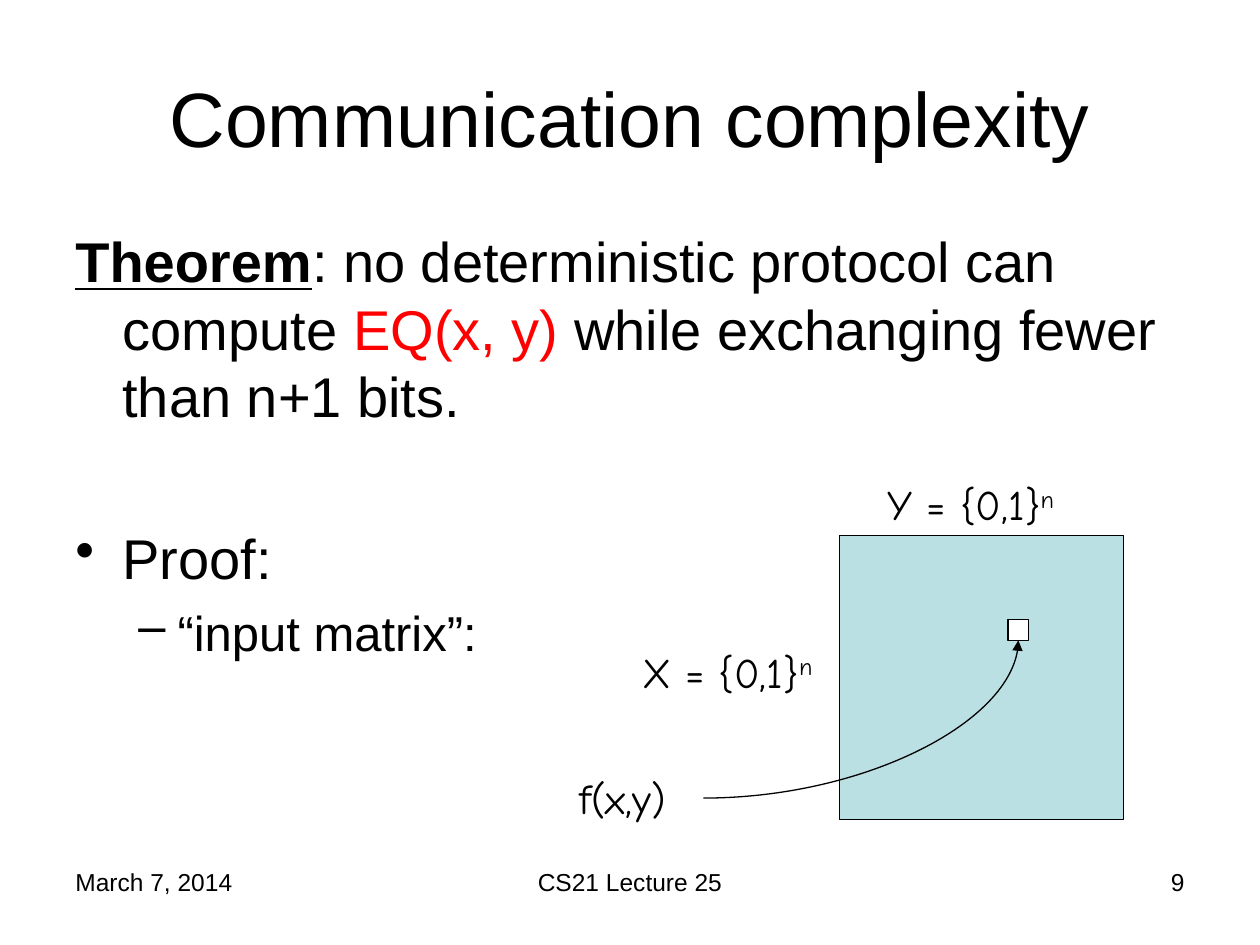
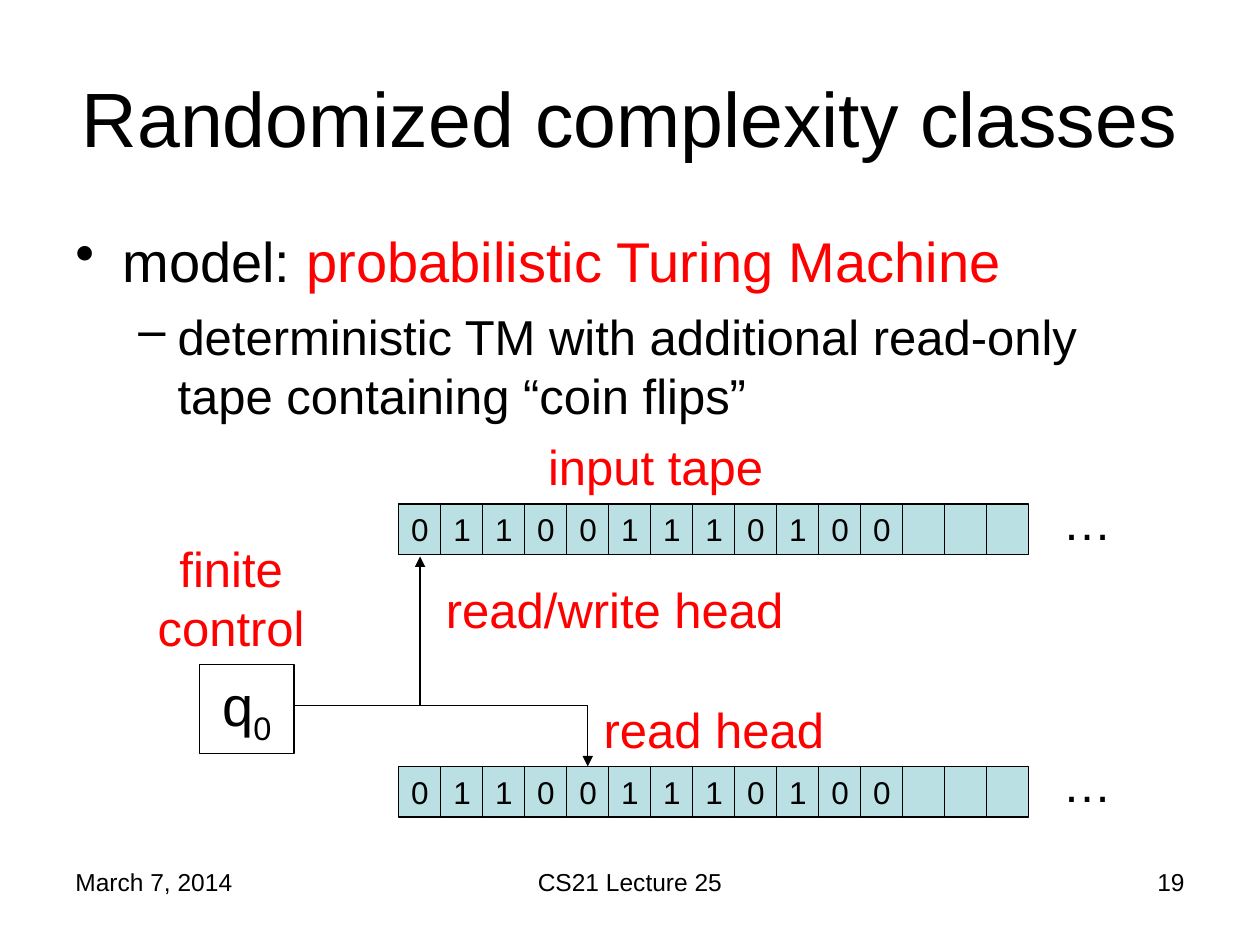
from dataclasses import dataclass
from typing import Any

from pptx import Presentation
from pptx.dml.color import RGBColor
from pptx.enum.shapes import MSO_AUTO_SHAPE_TYPE as ShapeType, MSO_CONNECTOR as ConnectorType
from pptx.enum.text import MSO_ANCHOR as Anchor, MSO_AUTO_SIZE as AutoSize, PP_ALIGN as Align
from pptx.oxml.ns import qn
from pptx.oxml.xmlchemy import OxmlElement
from pptx.util import Cm, Pt


@dataclass(frozen=True)
class Theme:
    black: RGBColor = RGBColor(0, 0, 0)
    red: RGBColor = RGBColor(0xFF, 0, 0)
    white: RGBColor = RGBColor(0xFF, 0xFF, 0xFF)
    teal: RGBColor = RGBColor(0xBB, 0xE0, 0xE3)
    font: str = "Arial"
    hand_font: str = "Comic Neue"
    title: int = 44
    body: int = 32
    label: int = 28
    formula: int = 24
    cell: int = 18
    footer: int = 14
    line: float = 0.75


THEME = Theme()


@dataclass(frozen=True)
class Box:
    left: float
    top: float
    width: float
    height: float

    def lengths(self) -> tuple[Cm, ...]:
        return tuple(Cm(n) for n in (self.left, self.top, self.width, self.height))


@dataclass(frozen=True)
class Run:
    text: str
    color: RGBColor = THEME.black
    bold: bool = False
    underline: bool = False
    baseline: int = 0


@dataclass(frozen=True)
class Style:
    size: int
    font: str = THEME.font
    align: Align = Align.LEFT
    level: int = 0
    margin: float = 0
    indent: float = 0
    bullet: str = ""


@dataclass(frozen=True)
class Item:
    style: Style
    runs: tuple[Run, ...]
    space_before: float = 0


@dataclass(frozen=True)
class Label:
    box: Box
    style: Style
    runs: tuple[Run, ...]
    wrap: bool = True


@dataclass(frozen=True)
class Arrow:
    kind: ConnectorType
    preset: str
    start: tuple[float, float]
    end: tuple[float, float]


TITLE = Style(THEME.title, align=Align.CENTER)
PLAIN = Style(THEME.body, margin=0.95, indent=-0.95)
BULLET = Style(THEME.body, margin=0.95, indent=-0.95, bullet="•")
DASH = Style(THEME.label, level=1, margin=2.06, indent=-0.79, bullet="–")
FORMULA = Style(THEME.formula, THEME.hand_font)
LABEL = Style(THEME.label)
CENTERED = Style(THEME.label, align=Align.CENTER)
CELL = Style(THEME.cell, align=Align.CENTER)
STATE = Style(THEME.body, align=Align.CENTER)

TITLE_BOX = Box(1.27, 0.76, 22.86, 3.18)
BODY_BOX = Box(1.27, 4.45, 22.86, 12.57)
FOOTER_TOP, FOOTER_HEIGHT = 17.35, 1.32

TAPE_LEFT, TAPE_WIDTH, CELL_HEIGHT = 8.04, 12.7, 1.02
TAPE_SYMBOLS = tuple("011001110100") + ("",) * 3
TAPE_TOPS = (10.16, 15.45)


def set_values(target: Any, values: dict[str, Any]) -> None:
    for name, value in values.items():
        setattr(target, name, value)


def write_items(frame: Any, items: tuple[Item, ...]) -> None:
    for number, item in enumerate(items):
        paragraph = frame.add_paragraph() if number else frame.paragraphs[0]
        style = item.style
        properties = paragraph._p.get_or_add_pPr()
        properties.set("marL", str(Cm(style.margin)))
        properties.set("indent", str(Cm(style.indent)))
        bullet = OxmlElement("a:buChar" if style.bullet else "a:buNone")
        if style.bullet:
            bullet.set("char", style.bullet)
        properties.append(bullet)
        set_values(paragraph, {
            "alignment": style.align,
            "level": style.level,
            "space_before": Pt(item.space_before),
        })
        for part in item.runs:
            run = paragraph.add_run()
            run.text = part.text
            set_values(run.font, {
                "name": style.font,
                "size": Pt(style.size),
                "bold": part.bold,
                "underline": part.underline,
            })
            run.font.color.rgb = part.color
            if part.baseline:
                run._r.get_or_add_rPr().set("baseline", str(part.baseline * 1000))


def add_text(slide: Any, box: Box, items: tuple[Item, ...],
             anchor: Anchor = Anchor.TOP, wrap: bool = True) -> None:
    frame = slide.shapes.add_textbox(*box.lengths()).text_frame
    set_values(frame, {"word_wrap": wrap, "vertical_anchor": anchor})
    write_items(frame, items)


def add_label(slide: Any, label: Label) -> None:
    add_text(slide, label.box, (Item(label.style, label.runs),), wrap=label.wrap)


def add_rectangle(slide: Any, box: Box, fill: RGBColor | None,
                  item: Item | None = None) -> None:
    shape = slide.shapes.add_shape(ShapeType.RECTANGLE, *box.lengths())
    shape.shadow.inherit = False
    if fill is None:
        shape.fill.background()
    else:
        shape.fill.solid()
        shape.fill.fore_color.rgb = fill
    shape.line.color.rgb = THEME.black
    shape.line.width = Pt(THEME.line)
    if item:
        set_values(shape.text_frame, {
            "word_wrap": True,
            "vertical_anchor": Anchor.TOP,
            "auto_size": AutoSize.SHAPE_TO_FIT_TEXT,
        })
        write_items(shape.text_frame, (item,))


def add_arrow(slide: Any, arrow: Arrow) -> None:
    ends = (Cm(n) for n in arrow.start + arrow.end)
    connector = slide.shapes.add_connector(arrow.kind, *ends)
    connector.line.color.rgb = THEME.black
    connector.line.width = Pt(THEME.line)
    properties = connector._element.spPr
    properties.find(qn("a:prstGeom")).set("prst", arrow.preset)
    head = OxmlElement("a:tailEnd")
    head.set("type", "triangle")
    properties.find(qn("a:ln")).append(head)
    properties.append(OxmlElement("a:effectLst"))


def add_tape(slide: Any, top: float) -> None:
    width = TAPE_WIDTH / len(TAPE_SYMBOLS)
    for column, symbol in enumerate(TAPE_SYMBOLS):
        box = Box(TAPE_LEFT + column * width, top, width, CELL_HEIGHT)
        item = Item(CELL, (Run(symbol),)) if symbol else None
        add_rectangle(slide, box, THEME.teal, item)
    add_label(slide, Label(Box(21.17, top - 0.38, 1.9, 1.45), LABEL, (Run("…"),)))


def add_base_slide(presentation: Any, title: str, number: int,
                   body: tuple[Item, ...]) -> Any:
    slide = presentation.slides.add_slide(presentation.slide_layouts[6])
    footers = (
        (1.27, 5.93, Align.LEFT, "March 7, 2014"),
        (8.68, 8.04, Align.CENTER, "CS21 Lecture 25"),
        (18.2, 5.93, Align.RIGHT, str(number)),
    )
    for left, width, align, text in footers:
        style = Style(THEME.footer, align=align)
        add_label(slide, Label(Box(left, FOOTER_TOP, width, FOOTER_HEIGHT), style, (Run(text),)))
    add_text(slide, TITLE_BOX, (Item(TITLE, (Run(title),)),), Anchor.MIDDLE)
    add_text(slide, BODY_BOX, body)
    return slide


def build_communication(presentation: Any) -> None:
    slide = add_base_slide(presentation, "Communication complexity", 9, (
        Item(PLAIN, (
            Run("Theorem", bold=True, underline=True),
            Run(": no deterministic protocol can compute "),
            Run("EQ(x, y) ", THEME.red),
            Run("while exchanging fewer than n+1 bits."),
        )),
        Item(BULLET, (Run("Proof:"),), 54),
        Item(DASH, (Run("“input matrix”:"),), 7),
    ))
    exponent = Run("n", baseline=30)
    add_rectangle(slide, Box(16.93, 10.8, 5.72, 5.72), THEME.teal)
    add_rectangle(slide, Box(20.32, 12.49, 0.42, 0.42), THEME.white)
    for label in (
        Label(Box(12.7, 12.91, 5.29, 1.27), FORMULA, (Run("X = {0,1}"), exponent)),
        Label(Box(17.65, 9.53, 3.86, 1.27), FORMULA, (Run("Y = {0,1}"), exponent), False),
        Label(Box(11.43, 15.45, 2.75, 1.27), FORMULA, (Run("f(x,y)"),)),
    ):
        add_label(slide, label)
    add_arrow(slide, Arrow(ConnectorType.CURVE, "curvedConnector2", (14.18, 16.09), (20.53, 12.91)))


def build_randomized(presentation: Any) -> None:
    slide = add_base_slide(presentation, "Randomized complexity classes", 19, (
        Item(BULLET, (Run("model: "), Run("probabilistic Turing Machine", THEME.red))),
        Item(DASH, (
            Run("deterministic TM with additional read-only tape containing “coin flips”"),
        ), 7),
    ))
    for top in TAPE_TOPS:
        add_tape(slide, top)
    state = Item(STATE, (Run("q"), Run("0", baseline=-25)))
    add_rectangle(slide, Box(4.02, 13.39, 1.91, 1.8), None, state)
    for box, style, text in (
        (Box(10.8, 8.68, 5.93, 1.45), LABEL, "input tape"),
        (Box(2.33, 10.74, 4.66, 2.64), CENTERED, "finite control"),
        (Box(8.26, 11.56, 8.26, 1.45), CENTERED, "read/write head"),
        (Box(11.64, 13.97, 5.5, 1.45), CENTERED, "read head"),
    ):
        add_label(slide, Label(box, style, (Run(text, THEME.red),)))
    for end in ((8.47, 11.22), (11.85, 15.45)):
        add_arrow(slide, Arrow(ConnectorType.ELBOW, "bentConnector2", (5.93, 14.22), end))


def main() -> None:
    presentation = Presentation()
    set_values(presentation, {"slide_width": Cm(25.4), "slide_height": Cm(19.05)})
    build_communication(presentation)
    build_randomized(presentation)
    presentation.save("out.pptx")


if __name__ == "__main__":
    main()
